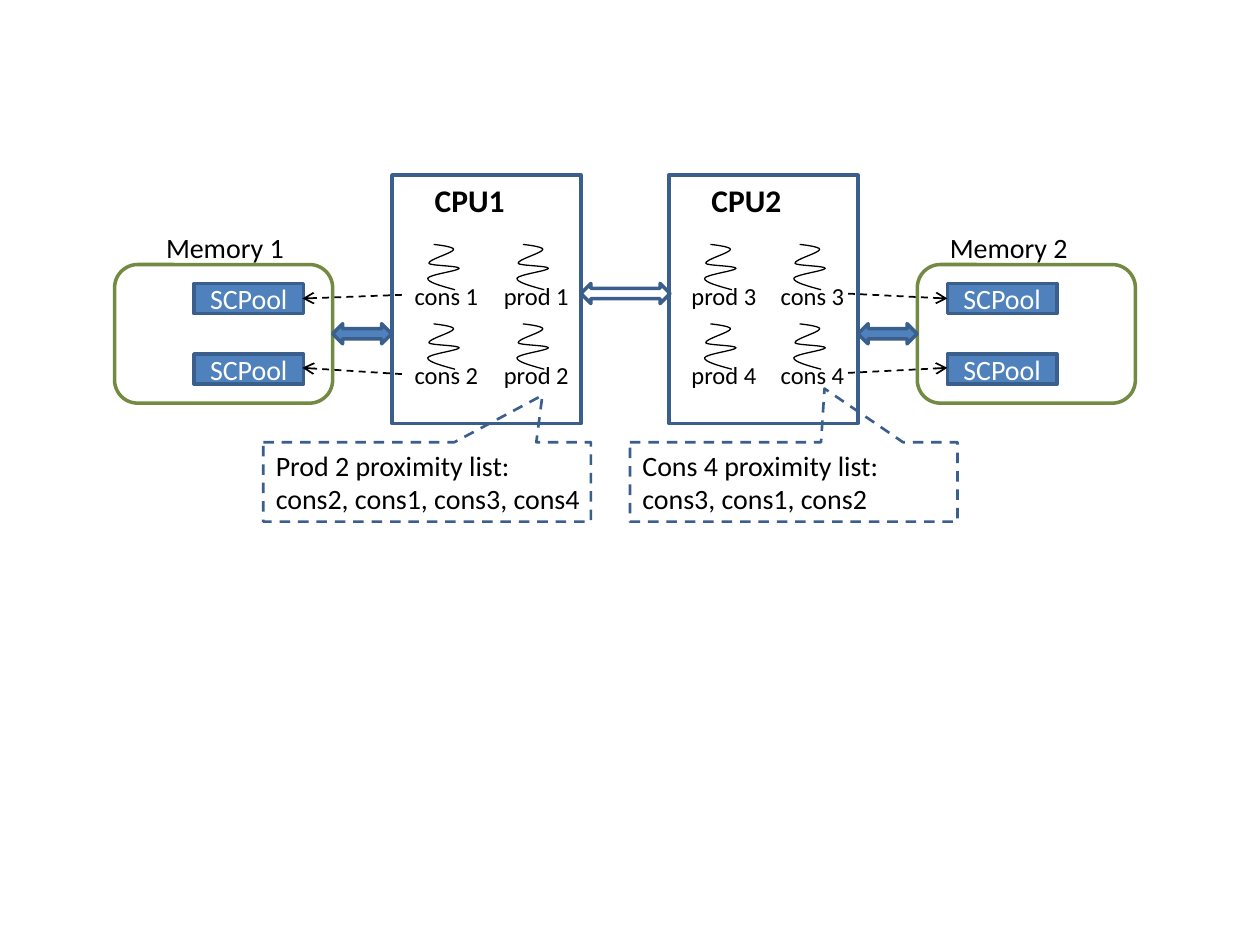
from dataclasses import dataclass
from itertools import product
from lxml.etree import SubElement
from pptx import Presentation
from pptx.dml.color import RGBColor
from pptx.enum.dml import MSO_LINE_DASH_STYLE as Dash
from pptx.enum.shapes import MSO_CONNECTOR as Connector, MSO_SHAPE as Shape
from pptx.enum.text import MSO_ANCHOR as Anchor, MSO_AUTO_SIZE as AutoSize, PP_ALIGN as Align
from pptx.oxml.ns import qn
from pptx.util import Pt


@dataclass(frozen=True)
class Theme:
    font: str = "Calibri"
    ink: str = "000000"
    paper: str = "FFFFFF"
    blue: str = "4F81BD"
    edge: str = "3A5F8C"
    green: str = "738A42"
    cpu_size: int = 18
    body_size: int = 16
    thread_size: int = 14


theme = Theme()

MEMORIES = [
    {"name": "Memory 1", "left": 65.5, "name_left": 87.8, "pool_left": 110.9},
    {"name": "Memory 2", "left": 524.2, "name_left": 535.7, "pool_left": 541.4},
]
POOL = "SCPool"
CPUS = [
    {"name": "CPU1", "left": 224, "threads": [["cons 1", "prod 1"], ["cons 2", "prod 2"]]},
    {"name": "CPU2", "left": 382.2, "threads": [["prod 3", "cons 3"], ["prod 4", "cons 4"]]},
]
PROXIMITY = [
    {"lines": ["Prod 2 proximity list:", "cons2, cons1, cons3, cons4"],
     "left": 150.5, "text_width": 190.8, "pointer": (0.352, -1.09)},
    {"lines": ["Cons 4 proximity list:", "cons3, cons1, cons2"],
     "left": 360, "text_width": 154.8, "pointer": (0.094, -1.175)},
]
BUSES = [(190.1, 185, 33.8, theme.blue), (490.3, 185, 33.8, theme.blue), (331.9, 162, 51, None)]
ACCESSES = [
    ((229.7, 168.5), (172.8, 170.6)), ((229.7, 213.8), (172.8, 210.2)),
    ((484.6, 167.8), (541.4, 170.6)), ((484.6, 213.1), (541.4, 210.2)),
]
SQUIGGLE = [
    (15.8, 25.9), (8, 23.8), (0, 21.6), (0.2, 19.4), (0.7, 17.3), (18, 15.1),
    (18.2, 13.7), (18.4, 12.2), (1.2, 12.2), (0.9, 10.8), (0.5, 8.6), (14.5, 5),
    (15, 2.9), (15.5, 1.2), (3.6, 0), (3.6, 0),
]
CPU_TOP, CPU_WIDTH, CPU_HEIGHT = 100, 108, 142
MEMORY_TOP, MEMORY_WIDTH, MEMORY_HEIGHT = 151.2, 124.6, 79.2
POOL_TOP, POOL_WIDTH, POOL_HEIGHT, POOL_PITCH = 162, 62.6, 17.3, 40.3
THREAD_TOP, THREAD_INSET, COLUMN_PITCH, ROW_PITCH = 139.7, 20.2, 51, 45.4
CALLOUT_TOP, CALLOUT_WIDTH, CALLOUT_HEIGHT = 252.7, 187.2, 45.4

deck = Presentation()
deck.slide_width, deck.slide_height = Pt(720), Pt(540)
slide = deck.slides.add_slide(deck.slide_layouts[6])


def paint(shape, fill, edge, width, dash=None):
    shape.shadow.inherit = False
    if fill:
        shape.fill.solid()
        shape.fill.fore_color.rgb = RGBColor.from_string(fill)
    else:
        shape.fill.background()
    stroke(shape.line, edge, width, dash)
    return shape


def stroke(line, color, width, dash=None):
    line.color.rgb = RGBColor.from_string(color)
    line.width = Pt(width)
    if dash:
        line.dash_style = dash


def add_box(kind, left, top, width, height, fill=None, edge=theme.edge, weight=2, dash=None):
    box = slide.shapes.add_shape(kind, Pt(left), Pt(top), Pt(width), Pt(height))
    return paint(box, fill, edge, weight, dash)


def write(frame, lines, size, color=theme.ink, bold=None, align=None):
    for index, line in enumerate(lines):
        paragraph = frame.add_paragraph() if index else frame.paragraphs[0]
        paragraph.alignment = align
        run = paragraph.add_run()
        run.text = line
        run.font.name, run.font.size, run.font.bold = theme.font, Pt(size), bold
        run.font.color.rgb = RGBColor.from_string(color)


def add_label(shapes, lines, left, top, width, height, size, bold=None, wrap=False):
    frame = shapes.add_textbox(Pt(left), Pt(top), Pt(width), Pt(height)).text_frame
    frame.word_wrap = wrap
    frame.auto_size = AutoSize.SHAPE_TO_FIT_TEXT
    write(frame, lines, size, bold=bold)


def add_thread(name, left, top):
    shapes = slide.shapes.add_group_shape().shapes
    points = [(Pt(left + x), Pt(top + y)) for x, y in SQUIGGLE]
    builder = shapes.build_freeform(*points[0])
    builder.add_line_segments(points[1:], close=False)
    squiggle = paint(builder.convert_to_shape(), None, theme.ink, 0.75)
    outline = next(squiggle.element.iter(qn("a:path")))
    segments = outline.findall(qn("a:lnTo"))
    for start in range(0, len(segments), 3):
        curve = SubElement(outline, qn("a:cubicBezTo"))
        for segment in segments[start:start + 3]:
            curve.append(segment[0])
            outline.remove(segment)
    add_label(shapes, [name], left - 14.4, top + 17.3, 51.5, 24.2, theme.thread_size)


def add_access(start, end):
    access = slide.shapes.add_connector(Connector.STRAIGHT, *map(Pt, start + end))
    stroke(access.line, theme.ink, 1, Dash.DASH)
    SubElement(access.line._get_or_add_ln(), qn("a:tailEnd"), type="arrow")
    SubElement(access.element.spPr, qn("a:effectLst"))


for memory in MEMORIES:
    for row in range(2):
        pool = add_box(Shape.RECTANGLE, memory["pool_left"], POOL_TOP + row * POOL_PITCH,
                       POOL_WIDTH, POOL_HEIGHT, theme.blue)
        pool.text_frame.vertical_anchor = Anchor.MIDDLE
        write(pool.text_frame, [POOL], theme.body_size, theme.paper, align=Align.CENTER)
    add_box(Shape.ROUNDED_RECTANGLE, memory["left"], MEMORY_TOP, MEMORY_WIDTH, MEMORY_HEIGHT,
            edge=theme.green)
    add_label(slide.shapes, [memory["name"]], memory["name_left"], 128.2, 82.8, 26.6,
              theme.body_size)

for cpu in CPUS:
    add_box(Shape.RECTANGLE, cpu["left"], CPU_TOP, CPU_WIDTH, CPU_HEIGHT)
    add_label(slide.shapes, [cpu["name"]], cpu["left"] + 17.3, CPU_TOP, 54.7, 29,
              theme.cpu_size, bold=True)
    for row, column in product(range(2), repeat=2):
        add_thread(cpu["threads"][row][column],
                   cpu["left"] + THREAD_INSET + column * COLUMN_PITCH,
                   THREAD_TOP + row * ROW_PITCH)

for access_start, access_end in ACCESSES:
    add_access(access_start, access_end)

for bus_left, bus_top, bus_width, bus_fill in BUSES:
    add_box(Shape.LEFT_RIGHT_ARROW, bus_left, bus_top, bus_width, 11.5, bus_fill)

for proximity in PROXIMITY:
    add_label(slide.shapes, proximity["lines"], proximity["left"], CALLOUT_TOP,
              proximity["text_width"], 46.1, theme.body_size, wrap=True)
    callout = add_box(Shape.RECTANGULAR_CALLOUT, proximity["left"], CALLOUT_TOP,
                      CALLOUT_WIDTH, CALLOUT_HEIGHT, weight=1.5, dash=Dash.DASH)
    callout.adjustments[0], callout.adjustments[1] = proximity["pointer"]

deck.save("out.pptx")
